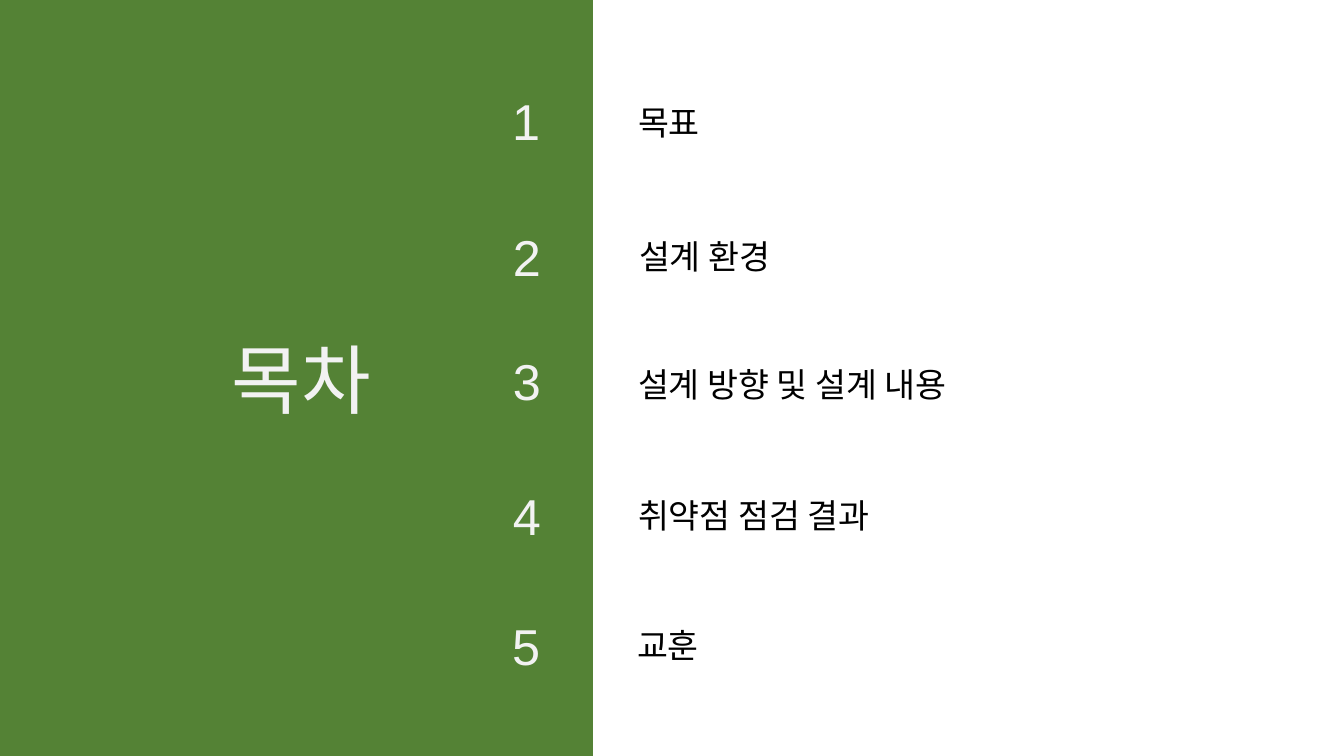
from dataclasses import dataclass

from pptx import Presentation
from pptx.dml.color import RGBColor as Rgb
from pptx.enum.shapes import MSO_SHAPE as Form
from pptx.enum.text import MSO_ANCHOR as Anchor, MSO_AUTO_SIZE as Auto, PP_ALIGN as Align
from pptx.shapes.autoshape import Shape
from pptx.slide import Slide
from pptx.util import Inches, Pt

WIDE, HIGH = 13.33, 7.5
GREEN, PALE, BLACK = "548235", "F2F2F2", "000000"
FONT = "Arial"


@dataclass(frozen=True)
class Box:
    left: float
    top: float
    width: float
    height: float

    def place(self) -> tuple[int, int, int, int]:
        return (
            Inches(WIDE * self.left / 100),
            Inches(HIGH * self.top / 100),
            Inches(WIDE * self.width / 100),
            Inches(HIGH * self.height / 100),
        )


@dataclass(frozen=True)
class Topic:
    label: str
    width: float
    num_left: float
    num_top: float
    left: float
    top: float


TOPICS = (
    Topic("목표", 6.6, 37.36, 11.33, 46.74, 12.8),
    Topic("설계 환경", 12.53, 37.43, 29.2, 46.81, 30.53),
    Topic("설계 방향 및 설계 내용", 27.83, 37.43, 45.6, 46.74, 47.47),
    Topic("취약점 점검 결과", 21.01, 37.43, 63.47, 46.74, 64.8),
    Topic("교훈", 6.6, 37.36, 80.67, 46.66, 82),
)


def tint(code: str) -> Rgb:
    return Rgb.from_string(code)


def panel(slide: Slide, box: Box) -> Shape:
    shape = slide.shapes.add_shape(Form.RECTANGLE, *box.place())
    shape.shadow.inherit = False
    shape.fill.solid()
    shape.fill.fore_color.rgb = tint(GREEN)
    shape.line.fill.background()
    return shape


def write(shape: Shape, text: str, size: int, color: str) -> None:
    frame = shape.text_frame
    frame.word_wrap = False
    frame.auto_size = Auto.SHAPE_TO_FIT_TEXT
    frame.vertical_anchor = Anchor.TOP
    para = frame.paragraphs[0]
    para.alignment = Align.LEFT
    run = para.add_run()
    run.text = text
    run.font.name = FONT
    run.font.size = Pt(size)
    run.font.color.rgb = tint(color)


def main() -> None:
    """Build the contents slide and save it."""
    deck = Presentation()
    deck.slide_width, deck.slide_height = Inches(WIDE), Inches(HIGH)
    slide = deck.slides.add_slide(deck.slide_layouts[6])
    panel(slide, Box(0, 0, 44.11, 100))
    write(panel(slide, Box(16.5, 43.33, 12.9, 13.47)), "목차", 54, PALE)
    for num, topic in enumerate(TOPICS, 1):
        badge = panel(slide, Box(topic.num_left, topic.num_top, 3.6, 9.47))
        write(badge, str(num), 36, PALE)
        box = Box(topic.left, topic.top, topic.width, 6.67)
        write(slide.shapes.add_textbox(*box.place()), topic.label, 24, BLACK)
    deck.save("out.pptx")


if __name__ == "__main__":
    main()
